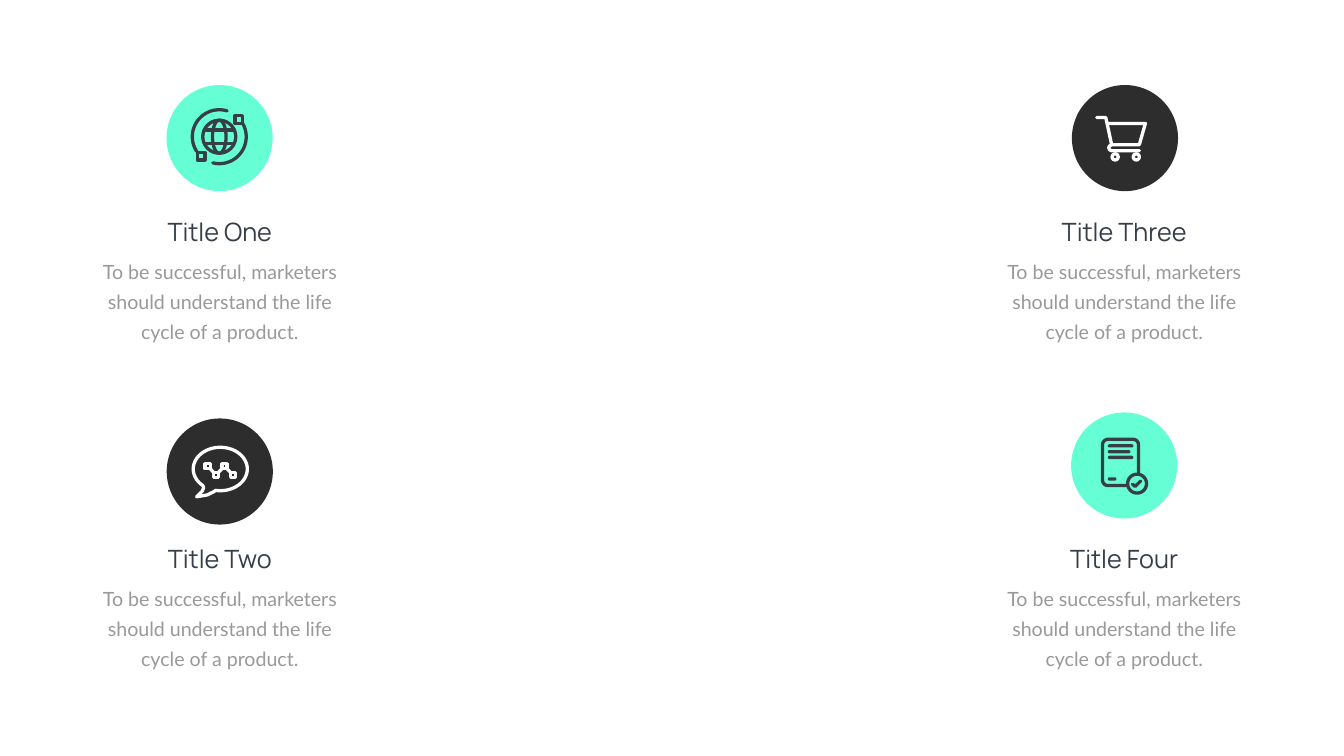
from dataclasses import dataclass
from itertools import pairwise
from math import cos, radians, sin

from lxml.etree import SubElement
from pptx import Presentation
from pptx.dml.color import RGBColor
from pptx.enum.shapes import MSO_SHAPE
from pptx.enum.text import MSO_ANCHOR, MSO_AUTO_SIZE, PP_ALIGN
from pptx.oxml.ns import qn
from pptx.util import Pt

Point = tuple[float, float]
Contour = list[Point]

MINT, CHARCOAL, SLATE, WHITE, GRAY = "66FFD5", "2C2D2C", "363E48", "FFFFFF", "999999"
BADGE_RADIUS = 75.8
STROKE_WIDTH = 4.7
TEXT_WIDTH = 351.4
BODY_OFFSET = 52.6
BODY_TEXT = "To be successful, marketers should understand the life cycle of a product."
TITLE_FORMAT = {"name": "Manrope", "size": Pt(36)}
BODY_FORMAT = {"name": "Lato", "size": Pt(28)}


@dataclass
class Ring:
    """An outlined circle, placed from the centre of its badge."""
    x: float
    y: float
    radius: float


@dataclass
class Bar:
    """A filled bar with round ends, placed from the centre of its badge."""
    left: float
    top: float
    width: float


@dataclass
class Stroke:
    """Lines through points measured from the centre of their badge."""
    contours: list[Contour]


Mark = Ring | Bar | Stroke


@dataclass
class Feature:
    title: str
    badge_center: Point
    text_left: float
    text_top: float
    badge_color: str
    icon_color: str
    icon: list[Mark]


def color(hex_value: str) -> RGBColor:
    return RGBColor.from_string(hex_value)


def arc(x: float, y: float, radius_x: float, radius_y: float,
        start: float, end: float) -> Contour:
    """Points along an ellipse; angles in degrees, clockwise from the right."""
    steps = max(6, round(abs(end - start) / 5))
    angles = [radians(start + (end - start) * i / steps) for i in range(steps + 1)]
    return [(x + radius_x * cos(a), y + radius_y * sin(a)) for a in angles]


def square(x: float, y: float, side: float) -> Contour:
    half = side / 2
    corners = [(-half, -half), (half, -half), (half, half), (-half, half), (-half, -half)]
    return [(x + dx, y + dy) for dx, dy in corners]


def globe_icon() -> list[Mark]:
    x, y, radius = -0.4, -2, 23.5
    latitudes = [[(x - 21.4, y + dy), (x + 21.4, y + dy)] for dy in (-9.6, 9.6)]
    return [
        Stroke([arc(x, y, radius, radius, 0, 360), arc(x, y, 9.7, radius, 0, 360), *latitudes]),
        Stroke([arc(x, y, 38.5, 38.5, -28, 104), square(27.6, -26.4, 11)]),
        Stroke([arc(x, y, 38.5, 38.5, 147, 287), square(-26.4, 25.9, 11)]),
    ]


def chat_icon() -> list[Mark]:
    nodes = [(-17.3 + 12 * i, 4.7 if i % 2 else -7.6) for i in range(4)]
    links = []
    for (x1, y1), (x2, y2) in pairwise(nodes):
        dy = 3.8 if y2 > y1 else -3.8
        links.append([(x1 + 3.8, y1 + dy), (x2 - 3.8, y2 - dy)])
    bubble = arc(0.7, -3.6, 38.6, 31, 130, 460)
    tail = [(-8, 28.5), (-18, 33.5), (-33, 36), (-25, 28), (-23, 23), bubble[0]]
    return [Stroke([bubble + tail]), Stroke([square(x, y, 7.4) for x, y in nodes] + links)]


def cart_icon() -> list[Mark]:
    frame = [(-40.3, -29.5), (-27.4, -29.5), (-19, 9.4), (-22, 11.2),
             (-23.2, 13.7), (-22, 16.7), (-19, 18), (20.5, 18)]
    basket = [(-24.8, -20.9), (29.2, -20.9), (20.5, 9.4), (-19, 9.4)]
    return [Stroke([frame, basket]), *[Ring(x, 26.9, 4.4) for x in (-14, 16.2)]]


def document_icon() -> list[Mark]:
    corners = [(12.5, -29.4, 0), (-23, -29.4, -90), (-23, 20.7, -180)]
    outline = [(20.5, 10)]
    for x, y, start in corners:
        outline += arc(x, y, 8, 8, start, start - 90)
    outline.append((3, 28.7))
    text_lines = [(-30.4, 36.7), (-22, 32.4), (-13.9, 36.7), (16.9, 12.4)]
    return [
        Stroke([outline, arc(18.4, 25.9, 13.5, 13.5, 0, 360)]),
        Stroke([[(11.7, 26.8), (15.6, 29.9), (23.4, 22.3)]]),
        *[Bar(-23.5, top, width) for top, width in text_lines],
    ]


def add_preset(slide, preset: MSO_SHAPE, left: float, top: float,
               width: float, height: float):
    shape = slide.shapes.add_shape(preset, Pt(left), Pt(top), Pt(width), Pt(height))
    shape.shadow.inherit = False
    return shape


def add_circle(slide, center: Point, radius: float):
    return add_preset(slide, MSO_SHAPE.OVAL, center[0] - radius, center[1] - radius,
                      2 * radius, 2 * radius)


def fill_plain(shape, fill_color: str) -> None:
    shape.fill.solid()
    shape.fill.fore_color.rgb = color(fill_color)
    shape.line.fill.background()


def add_stroke(slide, stroke: Stroke, center: Point):
    contours = [[(Pt(center[0] + x), Pt(center[1] + y)) for x, y in contour]
                for contour in stroke.contours]
    builder = slide.shapes.build_freeform(*contours[0][0])
    for index, contour in enumerate(contours):
        if index:
            builder.move_to(*contour[0])
        builder.add_line_segments(contour[1:], close=False)
    outline = builder.convert_to_shape()
    outline.shadow.inherit = False
    return outline


def add_mark(slide, mark: Mark, center: Point, mark_color: str) -> None:
    if isinstance(mark, Bar):
        bar = add_preset(slide, MSO_SHAPE.ROUNDED_RECTANGLE, center[0] + mark.left,
                         center[1] + mark.top, mark.width, STROKE_WIDTH)
        bar.adjustments[0] = 0.5
        fill_plain(bar, mark_color)
        return
    if isinstance(mark, Ring):
        shape = add_circle(slide, (center[0] + mark.x, center[1] + mark.y), mark.radius)
    else:
        shape = add_stroke(slide, mark, center)
    shape.fill.background()
    shape.line.color.rgb = color(mark_color)
    shape.line.width = Pt(STROKE_WIDTH)
    line = shape.element.spPr.find(qn("a:ln"))
    line.set("cap", "rnd")
    SubElement(line, qn("a:round"))


def add_text(slide, text: str, left: float, top: float, height: float,
             font_format: dict, text_color: str, line_spacing: float | None = None) -> None:
    box = slide.shapes.add_textbox(Pt(left), Pt(top), Pt(TEXT_WIDTH), Pt(height))
    frame_format = {"word_wrap": True, "auto_size": MSO_AUTO_SIZE.SHAPE_TO_FIT_TEXT,
                    "vertical_anchor": MSO_ANCHOR.TOP, "margin_left": Pt(1.8),
                    "margin_right": Pt(1.8), "margin_top": Pt(3.5), "margin_bottom": 0}
    for name, value in frame_format.items():
        setattr(box.text_frame, name, value)
    para = box.text_frame.paragraphs[0]
    para.alignment = PP_ALIGN.CENTER
    if line_spacing:
        para.line_spacing = Pt(line_spacing)
    span = para.add_run()
    span.text = text
    for name, value in font_format.items():
        setattr(span.font, name, value)
    span.font.color.rgb = color(text_color)


def add_feature(slide, feature: Feature) -> None:
    fill_plain(add_circle(slide, feature.badge_center, BADGE_RADIUS), feature.badge_color)
    for mark in feature.icon:
        add_mark(slide, mark, feature.badge_center, feature.icon_color)
    left, top = feature.text_left, feature.text_top
    add_text(slide, feature.title, left, top, 51.1, TITLE_FORMAT, SLATE)
    add_text(slide, BODY_TEXT, left, top + BODY_OFFSET, 132.5, BODY_FORMAT, GRAY, 43)


def main() -> None:
    deck = Presentation()
    deck.slide_width, deck.slide_height = Pt(1919.5), Pt(1080)
    page = deck.slides.add_slide(deck.slide_layouts[6])
    left, right, upper, lower = 138.2, 1429.9, 305.3, 773.3
    features = [
        Feature("Title One", (313.6, 197.3), left, upper, MINT, SLATE, globe_icon()),
        Feature("Title Two", (313.9, 673.6), left, lower, CHARCOAL, WHITE, chat_icon()),
        Feature("Title Three", (1606.7, 197.3), right, upper, CHARCOAL, WHITE, cart_icon()),
        Feature("Title Four", (1605.6, 665), right, lower, MINT, SLATE, document_icon()),
    ]
    for feature in features:
        add_feature(page, feature)
    deck.save("out.pptx")


if __name__ == "__main__":
    main()
